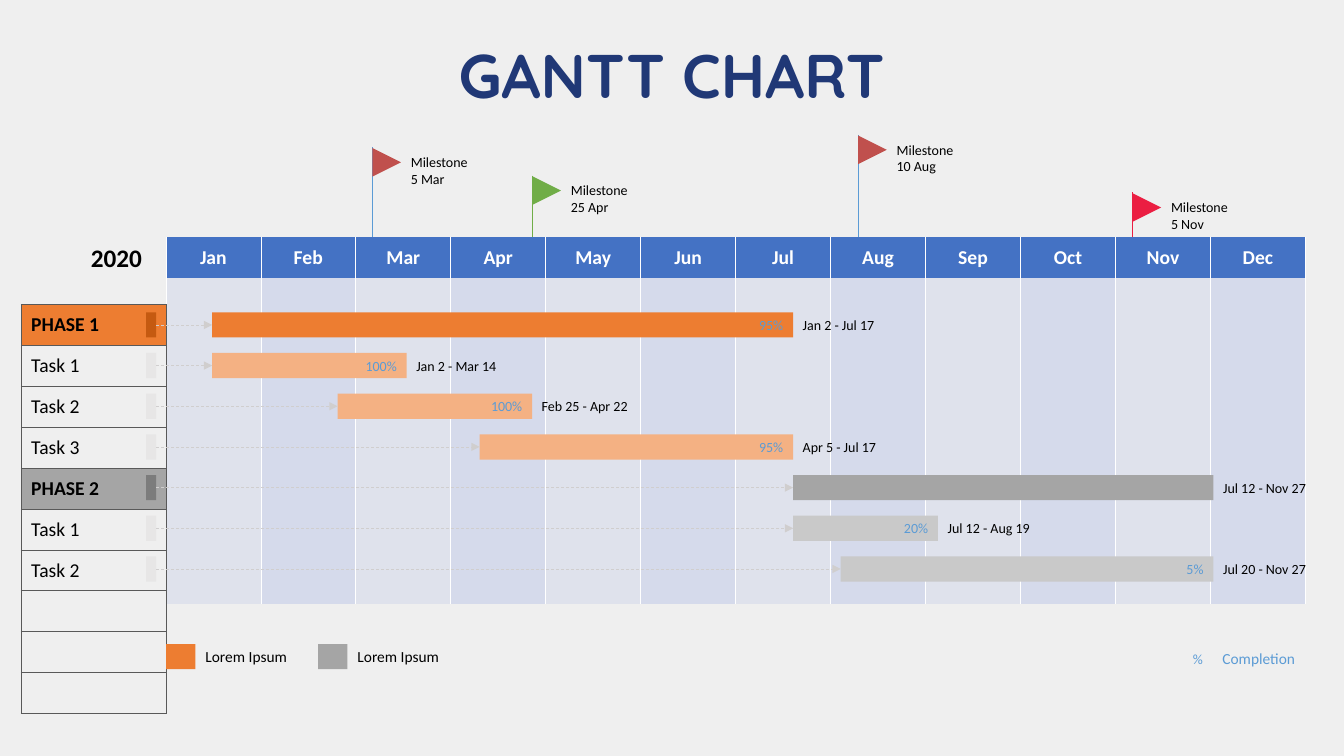
"""Build a one-slide Gantt chart for the year 2020."""

from dataclasses import dataclass
from typing import Optional

from lxml.etree import SubElement
from pptx import Presentation
from pptx.dml.color import RGBColor
from pptx.enum.dml import MSO_LINE
from pptx.enum.shapes import MSO_CONNECTOR, MSO_SHAPE
from pptx.enum.text import MSO_ANCHOR, PP_ALIGN
from pptx.oxml.ns import qn
from pptx.util import Pt

BACKGROUND = RGBColor(0xEF, 0xEF, 0xEF)
NAVY = RGBColor(0x20, 0x38, 0x76)
HEADER_BLUE = RGBColor(0x44, 0x72, 0xC4)
SKY_BLUE = RGBColor(0x5B, 0x9B, 0xD5)
MONTH_ODD = RGBColor(0xDF, 0xE2, 0xEC)
MONTH_EVEN = RGBColor(0xD5, 0xDA, 0xEB)
WHITE = RGBColor(0xFF, 0xFF, 0xFF)
BLACK = RGBColor(0x00, 0x00, 0x00)
BORDER_GRAY = RGBColor(0x59, 0x59, 0x59)
LEADER_GRAY = RGBColor(0xD0, 0xCE, 0xCE)
ORANGE = RGBColor(0xED, 0x7D, 0x31)
LIGHT_ORANGE = RGBColor(0xF4, 0xB1, 0x83)
DARK_ORANGE = RGBColor(0xC5, 0x5A, 0x11)
GRAY = RGBColor(0xA5, 0xA5, 0xA5)
LIGHT_GRAY = RGBColor(0xC9, 0xC9, 0xC9)
DARK_GRAY = RGBColor(0x7C, 0x7C, 0x7C)
PALE_GRAY = RGBColor(0xE7, 0xE6, 0xE6)
BRICK = RGBColor(0xC0, 0x50, 0x4D)
GREEN = RGBColor(0x70, 0xAD, 0x47)
RED = RGBColor(0xEB, 0x1E, 0x42)

MONTHS = "Jan Feb Mar Apr May Jun Jul Aug Sep Oct Nov Dec".split()
CALENDAR_LEFT, CALENDAR_TOP, MONTH_WIDTH = 118.5, 169.2, 67.86
HEADER_HEIGHT, BODY_HEIGHT = 29.2, 233
LIST_LEFT, LIST_TOP, LIST_WIDTH = 15.1, 217.4, 103.7
LIST_ROWS, LIST_ROW_HEIGHT = 10, 29.23
BAR_TOP, BAR_PITCH, BAR_HEIGHT = 223.1, 29.05, 18
MARKER_LEFT, MARKER_WIDTH = 104.4, 7.2
FLAG_SIZE = 20.5


@dataclass(frozen=True)
class Task:
    name: str
    left: float
    width: float
    completion: str
    dates: str
    dates_width: float
    color: RGBColor
    marker: RGBColor = PALE_GRAY
    is_phase: bool = False


@dataclass(frozen=True)
class Milestone:
    date: str
    left: float
    top: float
    stem: float
    flag_color: RGBColor
    stem_color: RGBColor


@dataclass(frozen=True)
class LegendEntry:
    label: str
    left: float
    color: RGBColor


TASKS = [
    Task("PHASE 1", 151.6, 414.9, "95%", "Jan 2 - Jul 17", 65.5, ORANGE, DARK_ORANGE, True),
    Task("Task 1", 151.6, 138.9, "100%", "Jan 2 - Mar 14", 72, LIGHT_ORANGE),
    Task("Task 2", 241.2, 138.9, "100%", "Feb 25 - Apr 22", 76.3, LIGHT_ORANGE),
    Task("Task 3", 342.6, 223.9, "95%", "Apr 5 - Jul 17", 67, LIGHT_ORANGE),
    Task("PHASE 2", 566.6, 300.2, "", "Jul 12 - Nov 27", 74.2, GRAY, DARK_GRAY, True),
    Task("Task 1", 566.6, 103.4, "20%", "Jul 12 - Aug 19", 73.4, LIGHT_GRAY),
    Task("Task 2", 600.5, 266.3, "5%", "Jul 20 - Nov 27", 74.2, LIGHT_GRAY),
]
MILESTONES = [
    Milestone("10 Aug", 612.9, 96.3, 87, BRICK, SKY_BLUE),
    Milestone("25 Apr", 380.2, 125.4, 53, GREEN, GREEN),
    Milestone("5 Mar", 265.9, 105.2, 78, BRICK, SKY_BLUE),
    Milestone("5 Nov", 808.9, 137.5, 53, RED, RED),
]
LEGEND = [LegendEntry("Lorem Ipsum", 118.6, ORANGE), LegendEntry("Lorem Ipsum", 227.2, GRAY)]


def write_text(frame, text: str, *, size: float = 10, color: RGBColor = BLACK, bold: bool = False,
               font: str = "Calibri", align=PP_ALIGN.LEFT) -> None:
    for index, line in enumerate(text.split("\n")):
        paragraph = frame.paragraphs[0] if index == 0 else frame.add_paragraph()
        paragraph.alignment = align
        run = paragraph.add_run()
        run.text = line
        run.font.size = Pt(size)
        run.font.name = font
        run.font.bold = bold
        run.font.color.rgb = color


def add_text(slide, text: str, left: float, top: float, width: float, height: float,
             anchor=MSO_ANCHOR.MIDDLE, **text_format) -> None:
    frame = slide.shapes.add_textbox(Pt(left), Pt(top), Pt(width), Pt(height)).text_frame
    frame.word_wrap = False
    frame.vertical_anchor = anchor
    write_text(frame, text, **text_format)


def add_block(slide, left: float, top: float, width: float, height: float, color: RGBColor,
              kind=MSO_SHAPE.RECTANGLE):
    shape = slide.shapes.add_shape(kind, Pt(left), Pt(top), Pt(width), Pt(height))
    shape.shadow.inherit = False
    shape.fill.solid()
    shape.fill.fore_color.rgb = color
    shape.line.fill.background()
    return shape


def add_line(slide, start: tuple[float, float], end: tuple[float, float], color: RGBColor,
             width: float, leader: bool = False) -> None:
    connector = slide.shapes.add_connector(MSO_CONNECTOR.STRAIGHT, *map(Pt, start + end))
    connector.line.color.rgb = color
    connector.line.width = Pt(width)
    if leader:
        connector.line.dash_style = MSO_LINE.DASH
        SubElement(connector.line._get_or_add_ln(), qn("a:tailEnd"), type="triangle")
    SubElement(connector._element.spPr, qn("a:effectLst"))


def style_cell(cell, fill: Optional[RGBColor], border: RGBColor, sides: str) -> None:
    properties = cell._tc.get_or_add_tcPr()
    for side in "LRTB":
        line = SubElement(properties, qn(f"a:ln{side}"), w=str(Pt(0.5)))
        if side in sides:
            solid = SubElement(line, qn("a:solidFill"))
            SubElement(solid, qn("a:srgbClr"), val=str(border))
        else:
            SubElement(line, qn("a:noFill"))
    if fill is None:
        cell.fill.background()
    else:
        cell.fill.solid()
        cell.fill.fore_color.rgb = fill
    cell.vertical_anchor = MSO_ANCHOR.MIDDLE


def add_grid(slide, left: float, top: float, column_widths: list[float], row_heights: list[float]):
    frame = slide.shapes.add_table(len(row_heights), len(column_widths), Pt(left), Pt(top),
                                   Pt(sum(column_widths)), Pt(sum(row_heights)))
    table = frame.table
    table.first_row = table.horz_banding = False
    for column, width in zip(table.columns, column_widths):
        column.width = Pt(width)
    for row, height in zip(table.rows, row_heights):
        row.height = Pt(height)
    return table


def add_calendar(slide) -> None:
    table = add_grid(slide, CALENDAR_LEFT, CALENDAR_TOP, [MONTH_WIDTH] * len(MONTHS),
                     [HEADER_HEIGHT, BODY_HEIGHT])
    for index, month in enumerate(MONTHS):
        header, body = table.cell(0, index), table.cell(1, index)
        style_cell(header, HEADER_BLUE, WHITE, "LR")
        style_cell(body, MONTH_EVEN if index % 2 else MONTH_ODD, WHITE, "LR")
        write_text(header.text_frame, month, size=14, color=WHITE, bold=True, align=PP_ALIGN.CENTER)


def add_task_list(slide) -> None:
    table = add_grid(slide, LIST_LEFT, LIST_TOP, [LIST_WIDTH], [LIST_ROW_HEIGHT] * LIST_ROWS)
    for index in range(LIST_ROWS):
        cell = table.cell(index, 0)
        task = TASKS[index] if index < len(TASKS) else None
        style_cell(cell, task.color if task and task.is_phase else None, BORDER_GRAY, "LRTB")
        if task:
            write_text(cell.text_frame, task.name, size=14, bold=task.is_phase)


def add_task(slide, task: Task, top: float) -> None:
    bar = add_block(slide, task.left, top, task.width, BAR_HEIGHT, task.color)
    if task.completion:
        bar.text_frame.vertical_anchor = MSO_ANCHOR.MIDDLE
        write_text(bar.text_frame, task.completion, color=SKY_BLUE, align=PP_ALIGN.RIGHT)
    add_block(slide, MARKER_LEFT, top, MARKER_WIDTH, BAR_HEIGHT, task.marker)
    middle = top + BAR_HEIGHT / 2
    add_line(slide, (MARKER_LEFT + MARKER_WIDTH, middle), (task.left, middle), LEADER_GRAY, 0.5, True)
    add_text(slide, task.dates, task.left + task.width - 0.2, top - 0.6, task.dates_width, 19.4)


def add_milestone(slide, milestone: Milestone) -> None:
    left, top = milestone.left, milestone.top
    add_line(slide, (left, top), (left, top + milestone.stem), milestone.stem_color, 0.75)
    flag = add_block(slide, left, top + 0.5, FLAG_SIZE, FLAG_SIZE, milestone.flag_color,
                     MSO_SHAPE.ISOSCELES_TRIANGLE)
    flag.rotation = 90
    add_text(slide, f"Milestone\n{milestone.date}", left + FLAG_SIZE, top + 1, 55.4, 31.7,
             MSO_ANCHOR.TOP)


def add_legend_entry(slide, entry: LegendEntry) -> None:
    add_block(slide, entry.left, 460, 21, BAR_HEIGHT, entry.color)
    add_text(slide, entry.label, entry.left + 21, 458.7, 72.7, 20.6, size=11)


def main() -> None:
    presentation = Presentation()
    presentation.slide_width, presentation.slide_height = Pt(960), Pt(540)
    slide = presentation.slides.add_slide(presentation.slide_layouts[6])
    slide.background.fill.solid()
    slide.background.fill.fore_color.rgb = BACKGROUND
    for milestone in MILESTONES:
        add_milestone(slide, milestone)
    add_text(slide, "GANTT CHART", 65.8, 24, 828, 58, size=44, color=NAVY, bold=True,
             font="Quicksand", align=PP_ALIGN.CENTER)
    add_calendar(slide)
    add_task_list(slide)
    for index, task in enumerate(TASKS):
        add_task(slide, task, BAR_TOP + index * BAR_PITCH)
    add_text(slide, "2020", 57.3, 169.2, 51.1, 29, size=18, bold=True, align=PP_ALIGN.RIGHT)
    for entry in LEGEND:
        add_legend_entry(slide, entry)
    add_text(slide, "%", 845, 461.5, 21, 18, color=SKY_BLUE, align=PP_ALIGN.RIGHT)
    add_text(slide, "Completion", 866, 460.1, 76, 20.6, size=11, color=SKY_BLUE)
    presentation.save("out.pptx")


if __name__ == "__main__":
    main()
